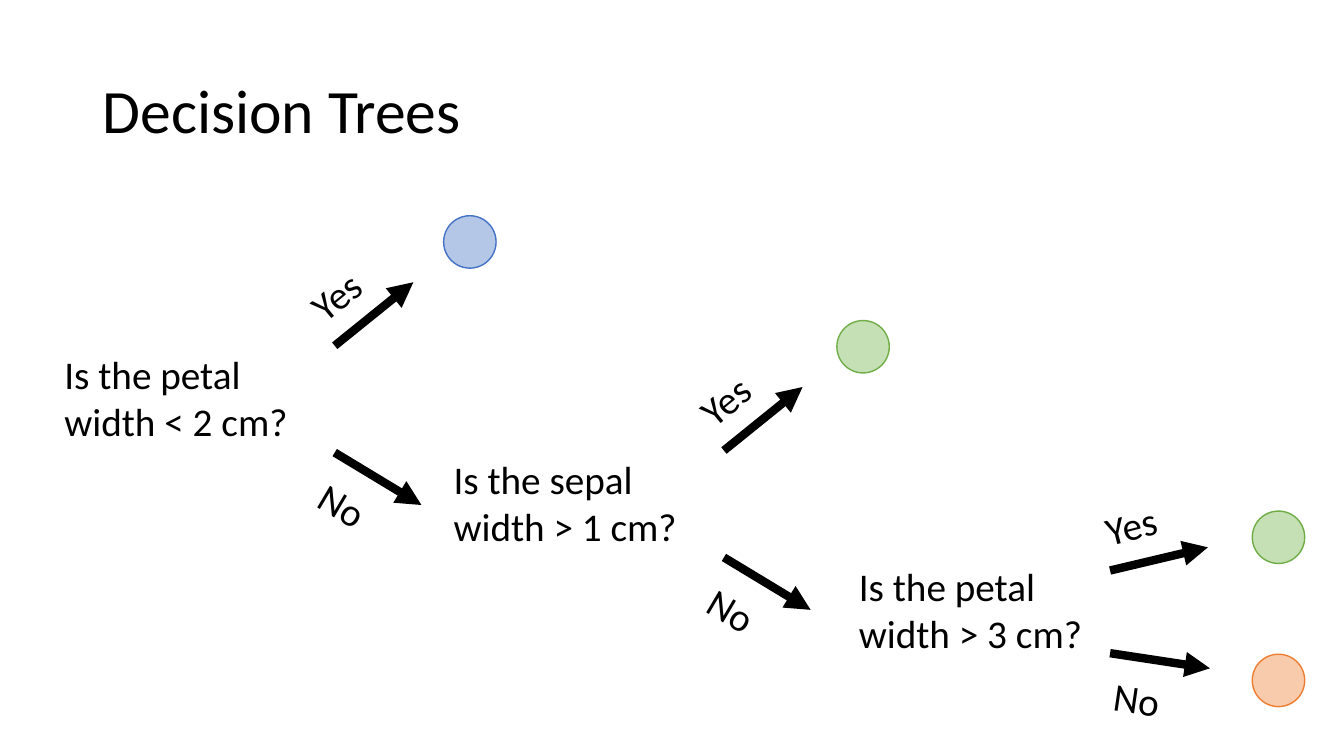
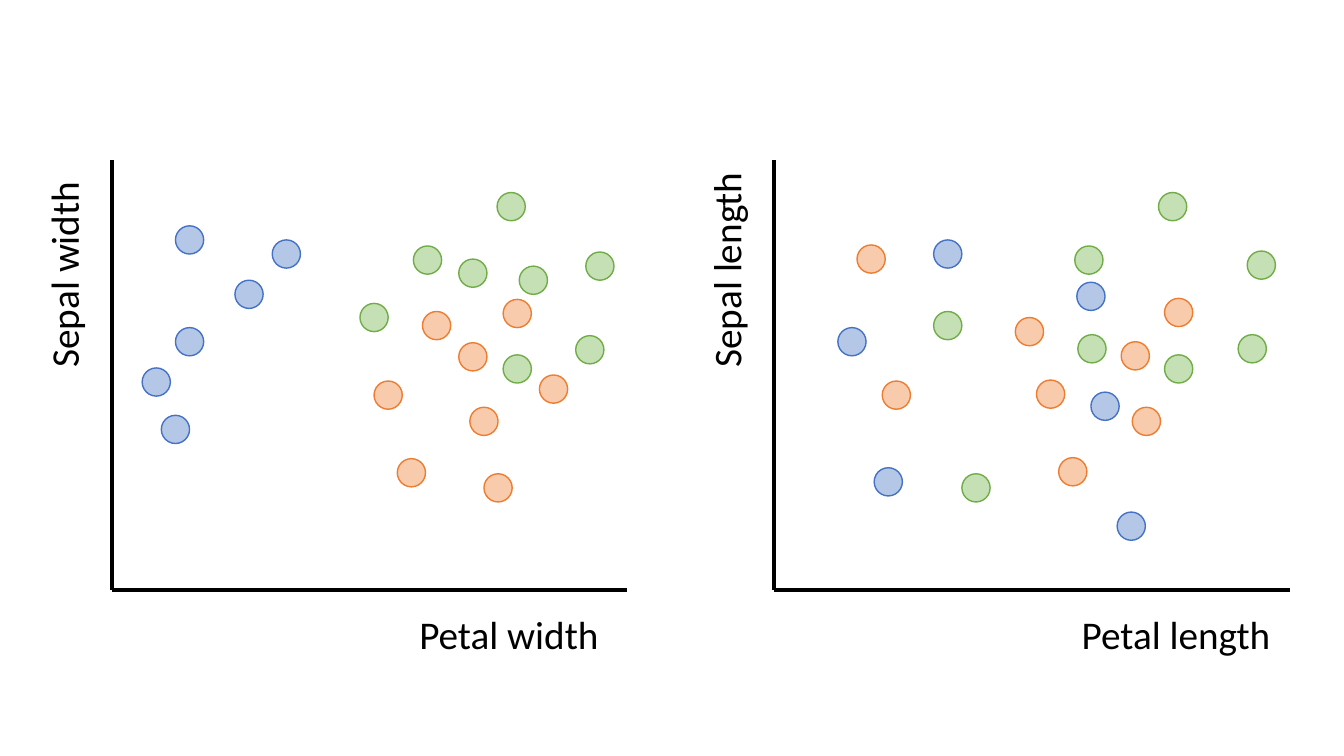
import dataclasses

import lxml.etree
import pptx
import pptx.dml.color
import pptx.enum.shapes
import pptx.enum.text
import pptx.oxml.ns
import pptx.util

Inches = pptx.util.Inches
Pt = pptx.util.Pt
RGBColor = pptx.dml.color.RGBColor

BLACK = RGBColor(0x00, 0x00, 0x00)
FONT = "Calibri"
BODY_SIZE = 28
LINE_HEIGHT = 0.57
QUESTION_SIZE = (2.56, 1.04)
LEAF_SIZE = 0.52
POINT_SIZE = 0.28
PLOT_SIZE = (5.11, 4.26)


@dataclasses.dataclass(frozen=True)
class DotStyle:
    fill: RGBColor
    line: RGBColor


BLUE = DotStyle(RGBColor(0xB4, 0xC7, 0xE7), RGBColor(0x44, 0x72, 0xC4))
GREEN = DotStyle(RGBColor(0xC5, 0xE0, 0xB4), RGBColor(0x70, 0xAD, 0x47))
ORANGE = DotStyle(RGBColor(0xF8, 0xCB, 0xAD), RGBColor(0xED, 0x7D, 0x31))


@dataclasses.dataclass(frozen=True)
class Branch:
    label: str
    label_width: float
    start: tuple
    end: tuple
    label_center: tuple
    angle: float


STEEP_BRANCHES = (
    Branch("Yes", 0.71, (2.78, 0), (3.56, -0.63), (2.79, -0.5), -39.2),
    Branch("No", 0.66, (2.78, 1.06), (3.64, 1.58), (2.86, 1.58), 30.7),
)
FLAT_BRANCHES = (
    Branch("Yes", 0.71, (2.59, 0.13), (3.56, -0.1), (2.8, -0.32), -14.4),
    Branch("No", 0.66, (2.59, 0.95), (3.58, 1.1), (2.86, 1.4), 8.4),
)

TREE = (
    (0.54, 3.43, "Is the petal width < 2 cm?", STEEP_BRANCHES,
     ((3.86, -1.29, BLUE),)),
    (4.4, 4.47, "Is the sepal width > 1 cm?", STEEP_BRANCHES,
     ((3.9, -1.29, GREEN),)),
    (8.42, 5.53, "Is the petal width > 3 cm?", FLAT_BRANCHES,
     ((4, -0.46, GREEN), (4, 0.96, ORANGE))),
)

WIDTH_POINTS = (
    (BLUE, ((0.49, 2.53), (0.63, 1.66), (0.3, 2.06), (1.22, 1.19),
            (0.63, 0.65), (1.59, 0.79))),
    (ORANGE, ((2.83, 2.96), (2.6, 2.19), (3.55, 2.45), (3.69, 3.11),
              (3.44, 1.81), (4.24, 2.13), (3.88, 1.38), (3.08, 1.5))),
    (GREEN, ((3.44, 0.98), (4.04, 1.05), (3.88, 1.93), (2.99, 0.85),
             (4.6, 1.74), (3.82, 0.32), (4.7, 0.91), (2.46, 1.42))),
)
LENGTH_POINTS = (
    (BLUE, ((0.99, 3.05), (0.63, 1.66), (3.14, 2.3), (3, 1.21),
            (3.4, 3.49), (1.58, 0.79))),
    (ORANGE, ((2.82, 2.95), (2.6, 2.18), (3.55, 2.45), (2.39, 1.56),
              (3.44, 1.8), (0.82, 0.84), (3.87, 1.37), (1.07, 2.19))),
    (GREEN, ((3.01, 1.73), (1.86, 3.11), (3.87, 1.93), (2.98, 0.85),
             (4.6, 1.73), (3.81, 0.32), (4.69, 0.9), (1.58, 1.5))),
)


def add_text(shapes, text, left, top, width, height, size=BODY_SIZE, wrap=True):
    box = shapes.add_textbox(
        Inches(left), Inches(top), Inches(width), Inches(height))
    frame = box.text_frame
    frame.word_wrap = wrap
    frame.text = text
    font = frame.paragraphs[0].runs[0].font
    font.name = FONT
    font.size = Pt(size)
    font.color.rgb = BLACK
    return box


def add_label(shapes, text, center, width, angle=0):
    left = center[0] - width / 2
    top = center[1] - LINE_HEIGHT / 2
    box = add_text(shapes, text, left, top, width, LINE_HEIGHT, wrap=False)
    box.text_frame.auto_size = pptx.enum.text.MSO_AUTO_SIZE.SHAPE_TO_FIT_TEXT
    box.rotation = angle


def add_line(shapes, start, end, weight, arrow=False):
    line = shapes.add_connector(
        pptx.enum.shapes.MSO_CONNECTOR.STRAIGHT,
        *(Inches(value) for value in (*start, *end)))
    line.line.color.rgb = BLACK
    line.line.width = Pt(weight)
    qn = pptx.oxml.ns.qn
    properties = line._element.spPr
    if arrow:
        lxml.etree.SubElement(
            properties.find(qn("a:ln")), qn("a:tailEnd"), type="triangle")
    lxml.etree.SubElement(properties, qn("a:effectLst"))


def add_dot(shapes, left, top, size, style):
    dot = shapes.add_shape(
        pptx.enum.shapes.MSO_SHAPE.OVAL,
        Inches(left), Inches(top), Inches(size), Inches(size))
    dot.shadow.inherit = False
    dot.fill.solid()
    dot.fill.fore_color.rgb = style.fill
    dot.line.color.rgb = style.line
    dot.line.width = Pt(1)


def add_title(page, text):
    box = add_text(page.shapes, text, 0.92, 0.4, 11.5, 1.45, size=44)
    box.text_frame.vertical_anchor = pptx.enum.text.MSO_ANCHOR.MIDDLE
    box.text_frame.paragraphs[0].line_spacing = 0.9


def add_decision(page, left, top, question, branches, leaves):
    def place(point):
        return left + point[0], top + point[1]

    add_text(page.shapes, question, left, top, *QUESTION_SIZE)
    for branch in branches:
        shapes = page.shapes.add_group_shape().shapes
        add_line(shapes, place(branch.start), place(branch.end), 6, arrow=True)
        add_label(shapes, branch.label, place(branch.label_center),
                  branch.label_width, branch.angle)
    for x, y, style in leaves:
        add_dot(page.shapes, left + x, top + y, LEAF_SIZE, style)


def add_scatter(page, left, top, x_title, y_title, series):
    shapes = page.shapes.add_group_shape().shapes
    width, height = PLOT_SIZE
    origin = (left, top + height)
    add_line(shapes, (left, top), origin, 3)
    add_line(shapes, origin, (left + width, top + height), 3)
    add_label(shapes, x_title, (left + 3.99, top + 4.7), 2.08)
    add_label(shapes, y_title, (left - 0.48, top + 1.08), 2.15, 270)
    for style, points in series:
        for x, y in points:
            add_dot(shapes, left + x, top + y, POINT_SIZE, style)


def build_tree_slide(page):
    add_title(page, "Decision Trees")
    for decision in TREE:
        add_decision(page, *decision)


def build_scatter_slide(page):
    add_scatter(page, 1.11, 1.59, "Petal width", "Sepal width", WIDTH_POINTS)
    add_scatter(page, 7.68, 1.59, "Petal length", "Sepal length", LENGTH_POINTS)


def main():
    deck = pptx.Presentation()
    deck.slide_width = Inches(13.33)
    deck.slide_height = Inches(7.5)
    for build in (build_tree_slide, build_scatter_slide):
        build(deck.slides.add_slide(deck.slide_layouts[6]))
    deck.save("out.pptx")


if __name__ == "__main__":
    main()
